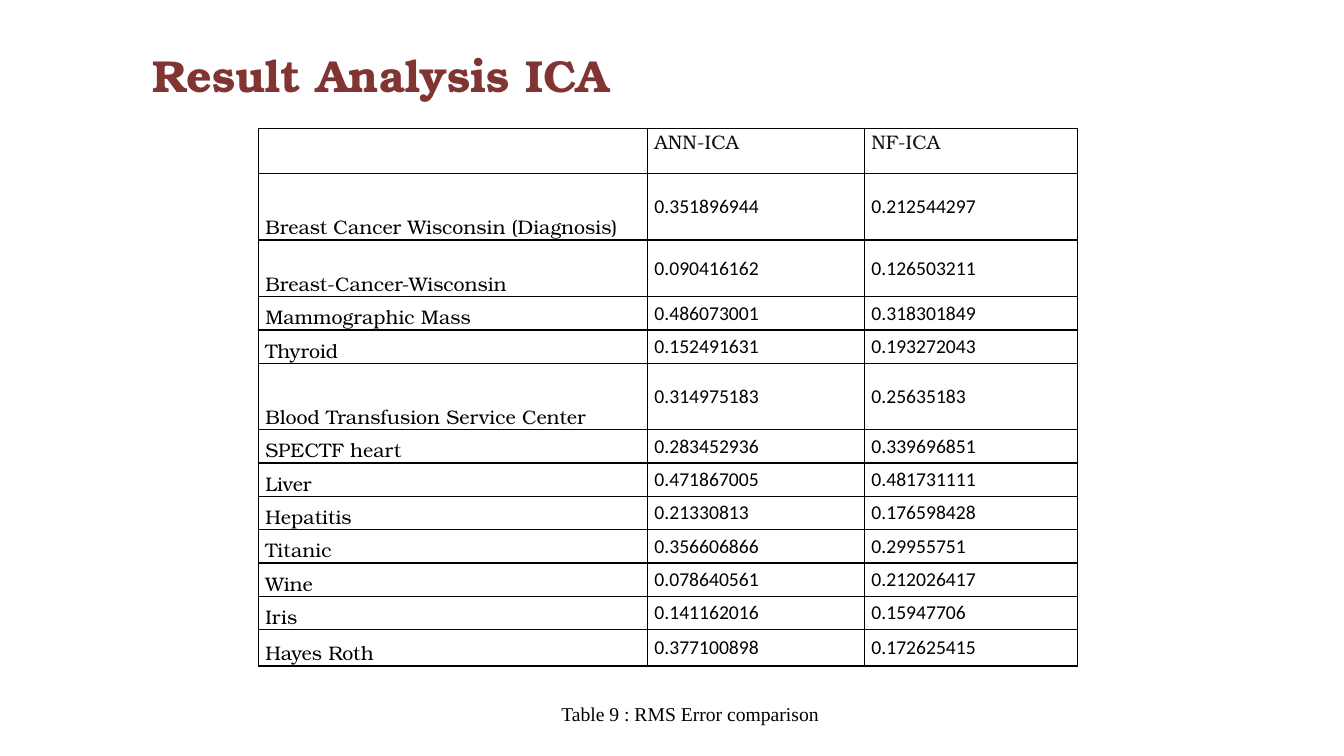
from lxml import etree
from pptx import Presentation
from pptx.dml.color import RGBColor
from pptx.enum.text import MSO_ANCHOR
from pptx.oxml.ns import qn
from pptx.util import Pt

TOP, MIDDLE, BOTTOM = MSO_ANCHOR.TOP, MSO_ANCHOR.MIDDLE, MSO_ANCHOR.BOTTOM
MAROON = RGBColor(0x81, 0x35, 0x33)
DARK = RGBColor(0x11, 0x11, 0x11)
BLACK = RGBColor(0, 0, 0)
BORDER = RGBColor(0x08, 0, 0)
BONUM, CALIBRI, TIMES = "TeX Gyre Bonum", "Calibri", "Times New Roman"

HEADER = ("", "ANN-ICA", "NF-ICA")
# Data set, ANN-ICA error, NF-ICA error, row height
RESULTS = [
    ("Breast Cancer Wisconsin (Diagnosis)", "0.351896944", "0.212544297", 47.5),
    ("Breast-Cancer-Wisconsin", "0.090416162", "0.126503211", 40.5),
    ("Mammographic Mass", "0.486073001", "0.318301849", 23.8),
    ("Thyroid", "0.152491631", "0.193272043", 23.8),
    ("Blood Transfusion Service Center", "0.314975183", "0.25635183", 47.5),
    ("SPECTF heart", "0.283452936", "0.339696851", 23.8),
    ("Liver", "0.471867005", "0.481731111", 23.8),
    ("Hepatitis", "0.21330813", "0.176598428", 23.8),
    ("Titanic", "0.356606866", "0.29955751", 23.8),
    ("Wine", "0.078640561", "0.212026417", 23.8),
    ("Iris", "0.141162016", "0.15947706", 23.8),
    ("Hayes Roth", "0.377100898", "0.172625415", 26),
]
HEADER_HEIGHT = 32.5
COLUMN_SHARES = (278, 155, 152)


def format_paragraph(p, size, font, color, bold=False):
    for r in p.runs:
        r.font.size = Pt(size)
        r.font.name = font
        r.font.color.rgb = color
        r.font.bold = bold


def add_text(slide, box, text, size, font, color, bold=False, indent=0):
    tf = slide.shapes.add_textbox(*map(Pt, box)).text_frame
    tf.word_wrap = True
    p = tf.paragraphs[0]
    p.text = text
    format_paragraph(p, size, font, color, bold)
    if indent:
        p._p.get_or_add_pPr().set("indent", str(Pt(indent)))


def add_borders(cell):
    tcPr = cell._tc.get_or_add_tcPr()
    for i, side in enumerate(("a:lnL", "a:lnR", "a:lnT", "a:lnB")):
        ln = etree.Element(qn(side), w=str(Pt(1)))
        fill = etree.SubElement(ln, qn("a:solidFill"))
        etree.SubElement(fill, qn("a:srgbClr"), val=str(BORDER))
        tcPr.insert(i, ln)


def fill_cell(cell, text, font, color, anchor):
    cell.fill.background()
    cell.margin_left = cell.margin_right = Pt(5)
    cell.margin_top = cell.margin_bottom = 0
    cell.vertical_anchor = anchor
    p = cell.text_frame.paragraphs[0]
    p.text = text
    format_paragraph(p, 14, font, color)
    add_borders(cell)


def add_error_table(slide, box):
    x, y, width, height = box
    table = slide.shapes.add_table(len(RESULTS) + 1, len(HEADER),
                                   Pt(x), Pt(y), Pt(width), Pt(height)).table
    table.first_row = table.horz_banding = False
    for column, share in zip(table.columns, COLUMN_SHARES):
        column.width = Pt(width * share / sum(COLUMN_SHARES))

    # Header row
    table.rows[0].height = Pt(HEADER_HEIGHT)
    for c, text in enumerate(HEADER):
        fill_cell(table.cell(0, c), text, BONUM, DARK, TOP)

    # One row per data set
    for i, (name, *errors, row_height) in enumerate(RESULTS, 1):
        table.rows[i].height = Pt(row_height)
        fill_cell(table.cell(i, 0), name, BONUM, BLACK, BOTTOM)
        for c, error in enumerate(errors, 1):
            fill_cell(table.cell(i, c), error, CALIBRI, BLACK, MIDDLE)


def main():
    prs = Presentation()
    prs.slide_width, prs.slide_height = Pt(960), Pt(540)
    slide = prs.slides.add_slide(prs.slide_layouts[6])

    # Title
    add_text(slide, (101.5, 30.2, 350, 46), "Result Analysis ICA",
             32, BONUM, MAROON, bold=True)
    # Table
    table_height = HEADER_HEIGHT + sum(row[-1] for row in RESULTS)
    add_error_table(slide, (184.5, 91.5, 585, table_height))
    # Caption
    add_text(slide, (227.5, 498.2, 400, 24.5), "Table 9 : RMS Error comparison",
             14, TIMES, BLACK, indent=166.3)

    prs.save("out.pptx")


if __name__ == "__main__":
    main()
